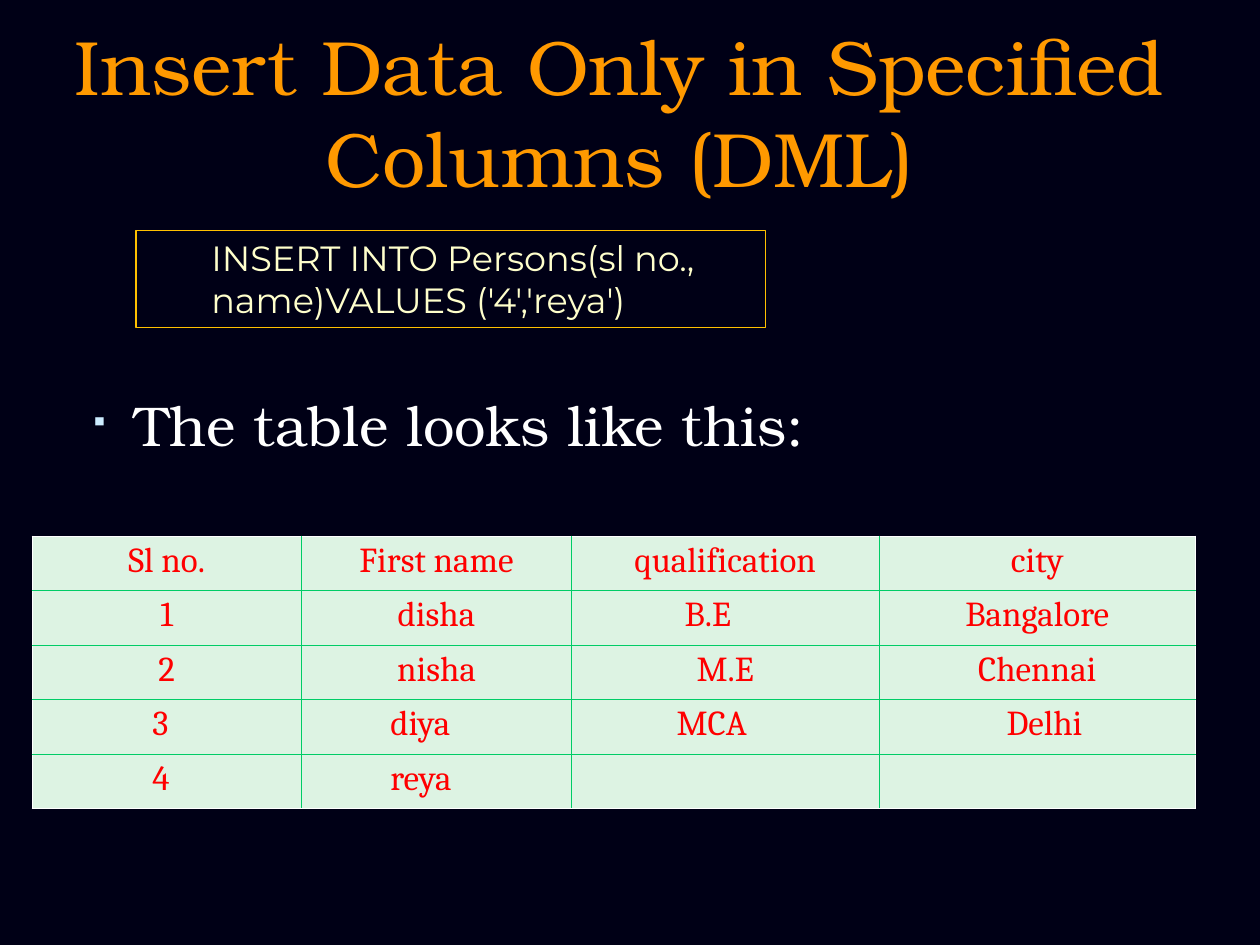
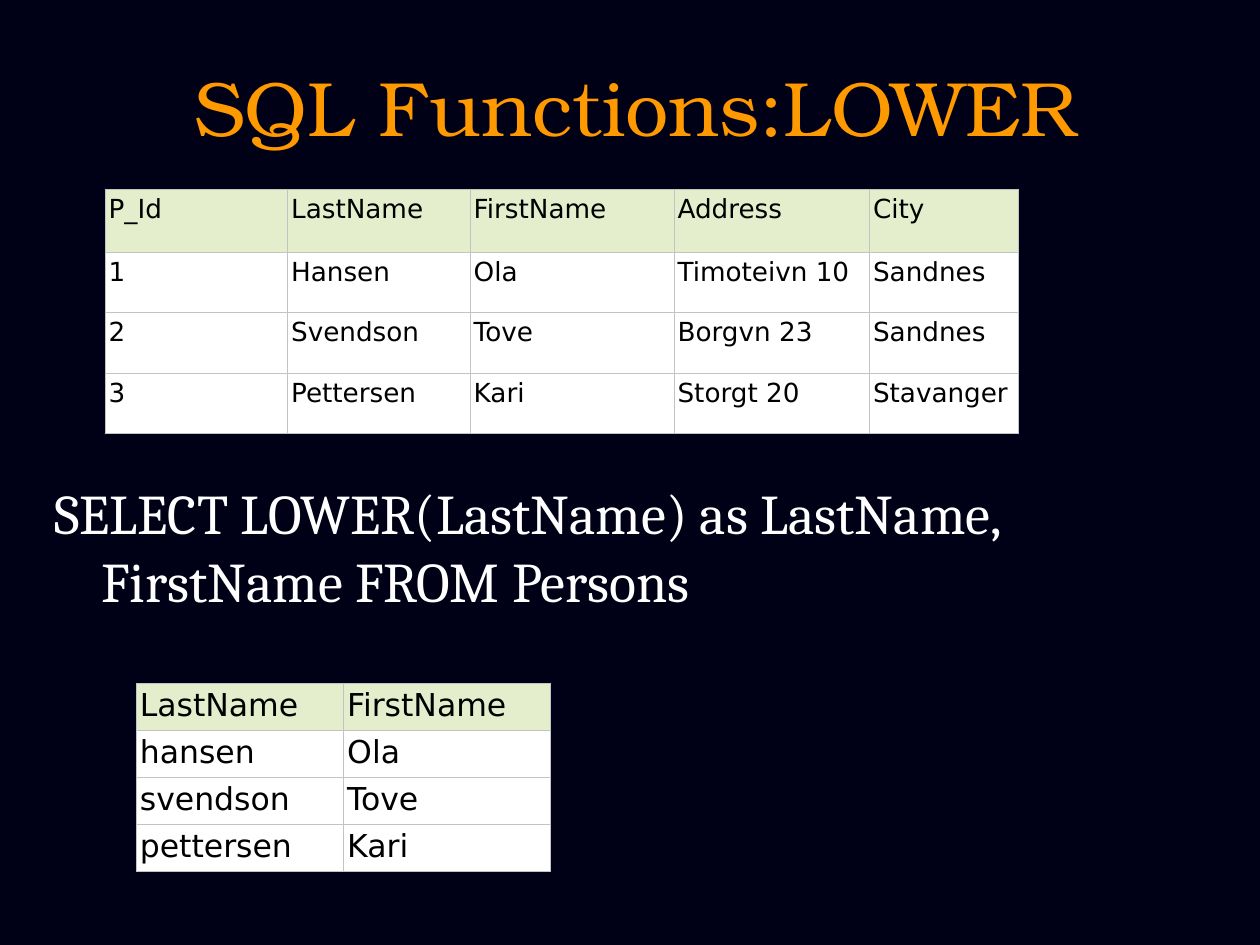
from lxml import etree
from pptx import Presentation
from pptx.dml.color import RGBColor
from pptx.enum import shapes, text
from pptx.oxml.ns import qn
from pptx.util import Cm, Pt

# Colours
NAVY = RGBColor(0x00, 0x00, 0x16)
ORANGE = RGBColor(0xFF, 0x99, 0x00)
GOLD = RGBColor(0xFF, 0xC0, 0x00)
CREAM = RGBColor(0xFF, 0xFF, 0xCC)
ICE = RGBColor(0xCC, 0xEC, 0xFF)
WHITE = RGBColor(0xFF, 0xFF, 0xFF)
BLACK = RGBColor(0x00, 0x00, 0x00)
RED = RGBColor(0xFF, 0x00, 0x00)
MINT = RGBColor(0xDD, 0xF3, 0xE3)
GREEN = RGBColor(0x00, 0xCC, 0x66)
SAGE = RGBColor(0xE5, 0xEE, 0xCC)
GREY = RGBColor(0xC3, 0xC3, 0xC3)

# Text formats
TITLE = {"name": "TeX Gyre Bonum", "size": Pt(44), "color": ORANGE}
BULLET = {"name": "TeX Gyre Bonum", "size": Pt(32), "color": WHITE}
QUERY = {"name": "Cambria", "size": Pt(32), "color": WHITE}
CODE = {"name": "Montserrat", "size": Pt(20), "color": CREAM}

# Table styles: borders are (colour, points)
PERSONS = {
    "font": {"name": "Cambria", "size": Pt(20), "color": RED},
    "header": MINT, "body": MINT, "inner": (GREEN, 0.45), "outer": (WHITE, 0.06),
    "margin": 0.25, "spacing": 0.93, "align": text.PP_ALIGN.CENTER,
}
RECORDS = {
    "font": {"name": "DejaVu Sans", "size": Pt(15), "color": BLACK},
    "header": SAGE, "body": WHITE, "inner": (GREY, 0.17), "outer": (GREY, 0.17),
    "margin": 0.08, "spacing": 0.94, "align": text.PP_ALIGN.LEFT,
}
RESULT = {**RECORDS, "font": {**RECORDS["font"], "size": Pt(18)}}


class Deck:
    """Holds the presentation, its style and the current slide."""

    def __init__(self):
        self.prs = Presentation()
        self.prs.slide_width, self.prs.slide_height = Cm(25.4), Cm(19.05)
        fill = self.prs.slide_master.background.fill
        fill.solid()
        fill.fore_color.rgb = NAVY
        self.s = None

    def add_words(self, p, words, fmt, indent=0, hanging=0):
        if indent:
            pPr = p._p.get_or_add_pPr()
            pPr.set("marL", str(Cm(indent)))
            pPr.set("indent", str(-Cm(hanging)))
        r = p.add_run()
        r.text = words
        for key, value in fmt.items():
            if key == "color":
                r.font.color.rgb = value
            else:
                setattr(r.font, key, value)

    def frame(self, sp, **settings):
        tf = sp.text_frame
        options = {"word_wrap": True, "auto_size": text.MSO_AUTO_SIZE.NONE, **settings}
        for key, value in options.items():
            setattr(tf, key, value)
        return tf.paragraphs[0]

    def slide(self, title, box):
        self.s = self.prs.slides.add_slide(self.prs.slide_layouts[5])
        sp = self.s.shapes.title
        sp.left, sp.top, sp.width, sp.height = map(Cm, box)
        p = self.frame(sp, vertical_anchor=text.MSO_ANCHOR.MIDDLE)
        p.alignment = text.PP_ALIGN.CENTER
        self.add_words(p, title, TITLE)

    def textbox(self, words, box, fmt, indent, hanging, bullet=None, **settings):
        p = self.frame(self.s.shapes.add_textbox(*map(Cm, box)), **settings)
        if bullet:
            pPr = p._p.get_or_add_pPr()
            colour = etree.SubElement(pPr, qn("a:buClr"))
            etree.SubElement(colour, qn("a:srgbClr"), val=str(ICE))
            etree.SubElement(pPr, qn("a:buSzPct"), val="45000")
            etree.SubElement(pPr, qn("a:buChar"), char=bullet)
        self.add_words(p, words, fmt, indent, hanging)

    def code_box(self, words, box):
        sp = self.s.shapes.add_shape(shapes.MSO_SHAPE.RECTANGLE, *map(Cm, box))
        sp.shadow.inherit = False
        sp.fill.background()
        sp.line.color.rgb = GOLD
        sp.line.width = Pt(0.75)
        p = self.frame(sp, vertical_anchor=text.MSO_ANCHOR.TOP)
        p.alignment = text.PP_ALIGN.LEFT
        self.add_words(p, words, CODE, indent=1.27)

    def border(self, cell, side, colour, points):
        tcPr = cell._tc.get_or_add_tcPr()
        ln = etree.SubElement(tcPr, qn("a:ln" + side), w=str(Pt(points)))
        fill = etree.SubElement(ln, qn("a:solidFill"))
        etree.SubElement(fill, qn("a:srgbClr"), val=str(colour))

    def table(self, rows, left, top, widths, heights, style, indents=None):
        """indents maps (row, column) to the indent of a left-aligned cell."""
        indents = indents or {}
        frame = self.s.shapes.add_table(len(rows), len(widths), Cm(left), Cm(top),
                                        Cm(sum(widths)), Cm(sum(heights)))
        tbl = frame.table
        tbl.first_row = tbl.horz_banding = False
        for column, width in zip(tbl.columns, widths):
            column.width = Cm(width)
        for row, height in zip(tbl.rows, heights):
            row.height = Cm(height)
        for i, row in enumerate(rows):
            for j, words in enumerate(row):
                cell = tbl.cell(i, j)
                cell.margin_left = cell.margin_right = Cm(style["margin"])
                edges = {"L": j == 0, "R": j == len(widths) - 1,
                         "T": i == 0, "B": i == len(rows) - 1}
                for side, outside in edges.items():
                    self.border(cell, side, *style["outer" if outside else "inner"])
                cell.fill.solid()
                cell.fill.fore_color.rgb = style["body" if i else "header"]
                if words:
                    p = cell.text_frame.paragraphs[0]
                    p.line_spacing = style["spacing"]
                    indent = indents.get((i, j), 0)
                    p.alignment = text.PP_ALIGN.LEFT if indent else style["align"]
                    self.add_words(p, words, style["font"], indent)


def main():
    deck = Deck()

    # Slide 1: insert into chosen columns
    deck.slide("Insert Data Only in Specified Columns (DML)", (1.07, 0.64, 22.86, 3.18))
    deck.textbox("The table looks like this:", (1.27, 4.45, 22.86, 5.08), BULLET,
                 1.19, 0.89, bullet="▪",
                 vertical_anchor=text.MSO_ANCHOR.BOTTOM, margin_bottom=Cm(0.3))
    persons = [
        ("Sl no.", "First name", "qualification", "city"),
        ("1", "disha", "B.E", "Bangalore"),
        ("2", "nisha", "M.E", "Chennai"),
        ("3", "diya", "MCA", "Delhi"),
        ("4", "reya", "", ""),
    ]
    indents = {(1, 2): 2.03, (3, 0): 2.18, (3, 1): 1.54, (3, 2): 1.87,
               (3, 3): 2.32, (4, 0): 2.18, (4, 1): 1.54}
    deck.table(persons, 0.64, 10.8, (5.44, 5.44, 6.2, 6.38), [1.1] * 5, PERSONS, indents)
    deck.code_box("INSERT INTO Persons(sl no., name)VALUES ('4','reya')",
                  (2.74, 4.65, 12.7, 1.96))

    # Slide 2: the LOWER function
    deck.slide("SQL Functions:LOWER", (3.6, 0.71, 18.42, 2.84))
    deck.textbox("SELECT LOWER(LastName) as LastName, FirstName FROM Persons",
                 (0.84, 9.53, 22.86, 3.18), QUERY, 0.95, 0.95)
    records = [
        ("P_Id", "LastName", "FirstName", "Address", "City"),
        ("1", "Hansen", "Ola", "Timoteivn 10", "Sandnes"),
        ("2", "Svendson", "Tove", "Borgvn 23", "Sandnes"),
        ("3", "Pettersen", "Kari", "Storgt 20", "Stavanger"),
    ]
    deck.table(records, 2.11, 3.81, (3.68, 3.68, 4.11, 3.94, 3),
               [1.27] + [1.22] * 3, RECORDS)
    header, *people = [row[1:3] for row in records]
    lowered = [header] + [(last.lower(), first) for last, first in people]
    deck.table(lowered, 2.74, 13.77, [4.18] * 2, [0.93] * 4, RESULT)

    deck.prs.save("out.pptx")


if __name__ == "__main__":
    main()
